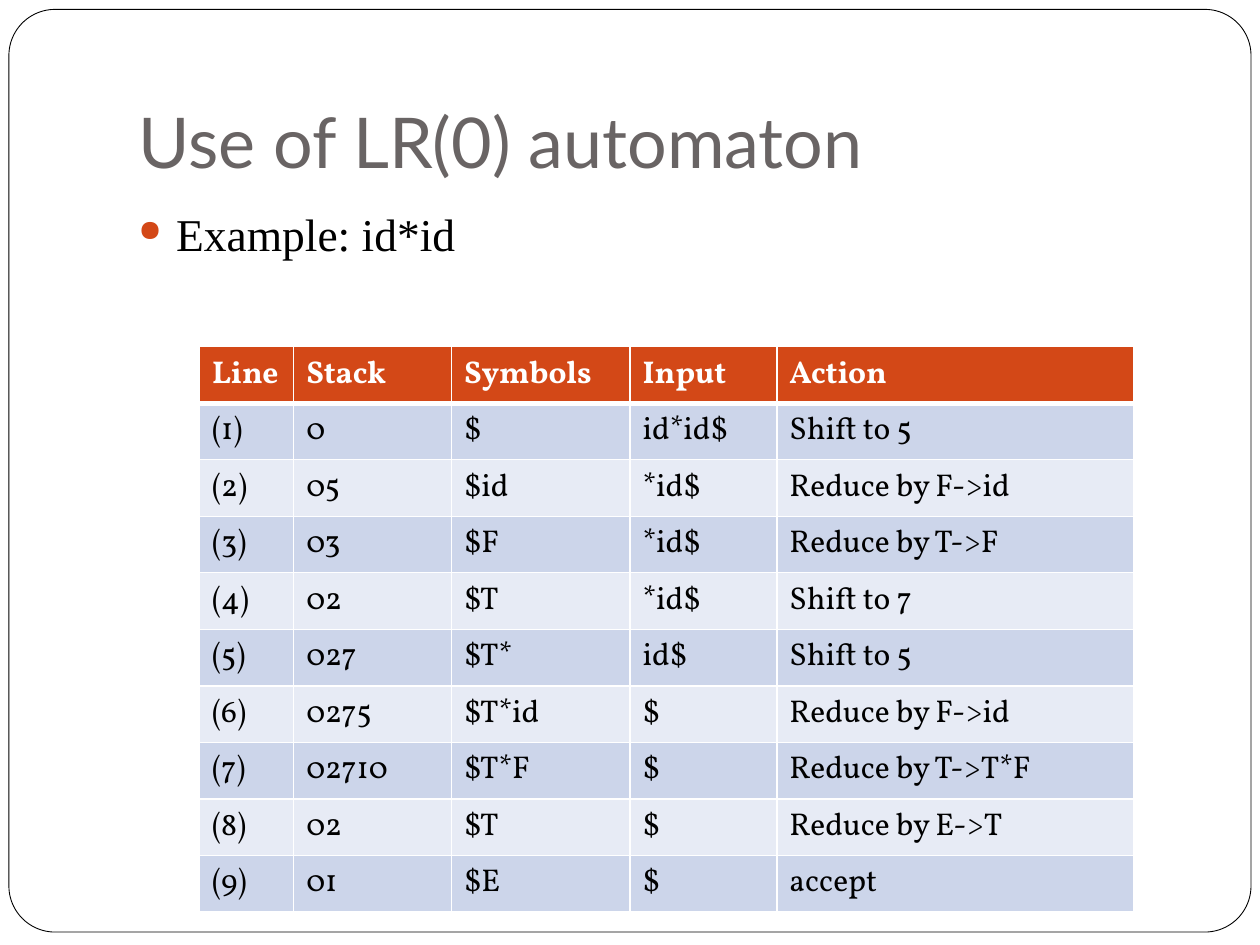
from lxml import etree
from pptx import Presentation
from pptx.dml.color import RGBColor
from pptx.enum.shapes import MSO_SHAPE
from pptx.enum.text import MSO_ANCHOR
from pptx.oxml.ns import qn
from pptx.util import Cm, Pt

ROUNDED = MSO_SHAPE.ROUNDED_RECTANGLE
TOP, BOTTOM = MSO_ANCHOR.TOP, MSO_ANCHOR.BOTTOM

WHITE = RGBColor(0xFF, 0xFF, 0xFF)
BLACK = RGBColor(0, 0, 0)
GRAY = RGBColor(0x69, 0x64, 0x64)
ORANGE = RGBColor(0xD3, 0x48, 0x17)
BANDS = (RGBColor(0xCC, 0xD5, 0xEA), RGBColor(0xE7, 0xEB, 0xF5))

TITLE = "Use of LR(0) automaton"
EXAMPLE = "Example: id*id"
HEADER = ("Line", "Stack", "Symbols", "Input", "Action")
STEPS = [
    ("0", "$", "id*id$", "Shift to 5"),
    ("05", "$id", "*id$", "Reduce by F->id"),
    ("03", "$F", "*id$", "Reduce by T->F"),
    ("02", "$T", "*id$", "Shift to 7"),
    ("027", "$T*", "id$", "Shift to 5"),
    ("0275", "$T*id", "$", "Reduce by F->id"),
    ("02710", "$T*F", "$", "Reduce by T->T*F"),
    ("02", "$T", "$", "Reduce by E->T"),
    ("01", "$E", "$", "accept"),
]
COLUMN_WIDTHS = (1.9, 3.18, 3.6, 2.96, 7.2)
ROW_HEIGHT = 1.14


def write(text_frame, text, *, font, size, color, bold=False, bullet=None):
    paragraph = text_frame.paragraphs[0]
    if bullet:
        add_bullet(paragraph, bullet)
    paragraph.font.name = font
    paragraph.font.size = Pt(size)
    paragraph.font.bold = bold
    paragraph.font.color.rgb = color
    run = paragraph.add_run()
    run.text = text
    run.font.name = font
    run.font.size = Pt(size)
    run.font.bold = bold
    run.font.color.rgb = color


def add_bullet(paragraph, color):
    properties = paragraph._p.get_or_add_pPr()
    properties.set("marL", str(Cm(0.76)))
    properties.set("indent", str(-Cm(0.76)))
    bullet_color = etree.SubElement(properties, qn("a:buClr"))
    etree.SubElement(bullet_color, qn("a:srgbClr"), val=str(color))
    etree.SubElement(properties, qn("a:buSzPct"), val="65000")
    etree.SubElement(properties, qn("a:buChar"), char="●")


def add_text_box(slide, top, height, anchor, text, **text_format):
    box = slide.shapes.add_textbox(Cm(2.54), Cm(top), Cm(21.59), Cm(height))
    text_frame = box.text_frame
    text_frame.word_wrap = True
    text_frame.vertical_anchor = anchor
    if anchor == BOTTOM:
        text_frame.margin_bottom = Cm(0.25)
    write(text_frame, text, **text_format)


def set_borders(cell, **widths):
    """Draw white cell edges; widths are points keyed by L, R, T and B."""
    properties = cell._tc.get_or_add_tcPr()
    for position, (side, width) in enumerate(widths.items()):
        line = etree.Element(qn(f"a:ln{side}"), w=str(Pt(width)))
        fill = etree.SubElement(line, qn("a:solidFill"))
        etree.SubElement(fill, qn("a:srgbClr"), val=str(WHITE))
        properties.insert(position, line)


def add_frame(slide):
    frame = slide.shapes.add_shape(ROUNDED, Cm(0.18), Cm(0.19), Cm(25.04), Cm(18.6))
    frame.adjustments[0] = 0.05
    frame.shadow.inherit = False
    frame.fill.solid()
    frame.fill.fore_color.rgb = WHITE
    frame.line.color.rgb = BLACK
    frame.line.width = Pt(0.5)


def add_parse_table(slide):
    rows = [HEADER] + [(f"({number})", *step) for number, step in enumerate(STEPS, 1)]
    table = slide.shapes.add_table(
        len(rows), len(HEADER), Cm(4.02), Cm(6.99),
        Cm(sum(COLUMN_WIDTHS)), Cm(ROW_HEIGHT * len(rows))).table
    for column, width in zip(table.columns, COLUMN_WIDTHS):
        column.width = Cm(width)
    for row_index, values in enumerate(rows):
        table.rows[row_index].height = Cm(ROW_HEIGHT)
        is_header = row_index == 0
        for column_index, value in enumerate(values):
            cell = table.cell(row_index, column_index)
            cell.fill.solid()
            cell.fill.fore_color.rgb = ORANGE if is_header else BANDS[(row_index - 1) % 2]
            set_borders(cell, L=1, R=1, T=3 if row_index == 1 else 1, B=3 if is_header else 1)
            write(cell.text_frame, value, font="Vollkorn", size=18,
                  color=WHITE if is_header else BLACK, bold=is_header)


def main():
    presentation = Presentation()
    presentation.slide_width = Cm(25.4)
    presentation.slide_height = Cm(19.05)
    slide = presentation.slides.add_slide(presentation.slide_layouts[6])
    add_frame(slide)
    add_text_box(slide, 0.74, 3.18, BOTTOM, TITLE, font="Lato", size=40, color=GRAY)
    add_text_box(slide, 4.02, 12.7, TOP, EXAMPLE, font="Times New Roman", size=26,
                 color=BLACK, bullet=ORANGE)
    add_parse_table(slide)
    presentation.save("out.pptx")


if __name__ == "__main__":
    main()
